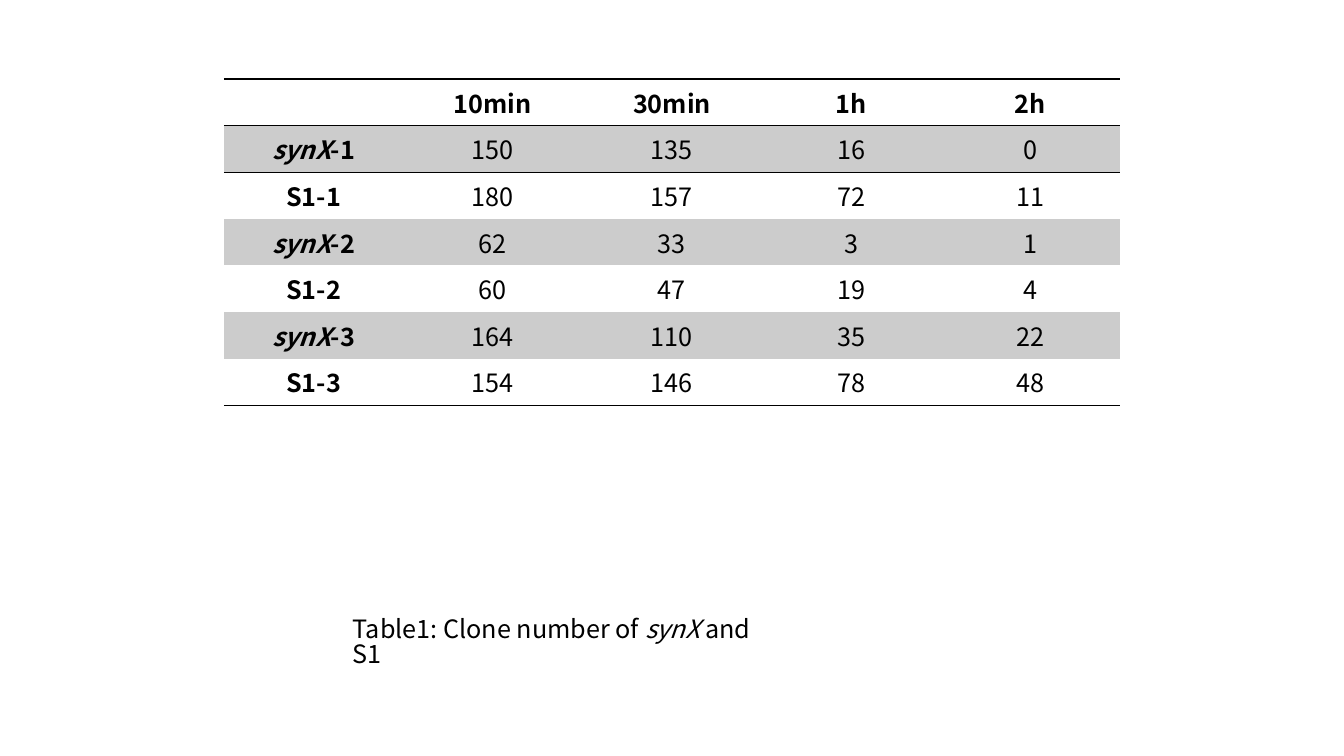
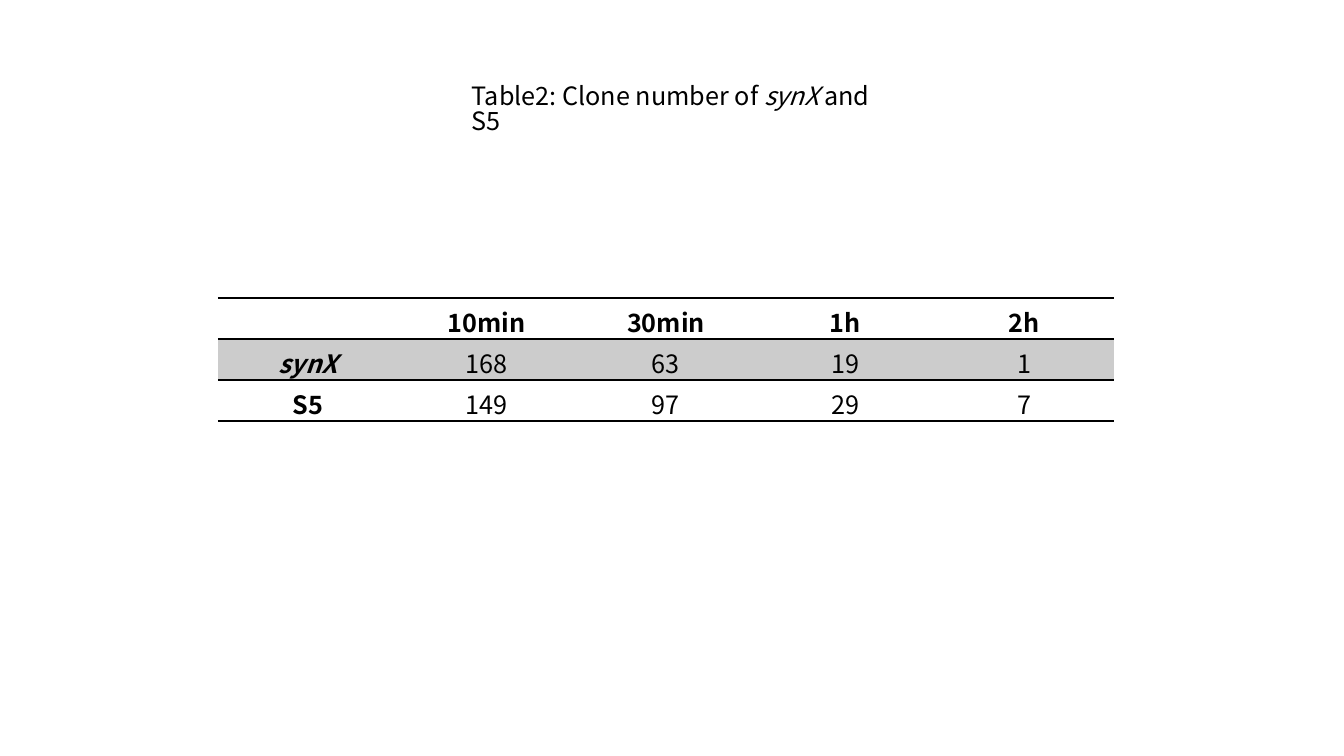
from pptx import Presentation
from pptx.dml.color import RGBColor
from pptx.enum.text import MSO_ANCHOR, MSO_AUTO_SIZE, PP_ALIGN
from pptx.oxml import parse_xml
from pptx.oxml.ns import nsdecls, qn
from pptx.util import Pt

PX = 9144000 / 1008  # EMU per pixel
BLACK = RGBColor(0x00, 0x00, 0x00)
BAND = RGBColor(0xCC, 0xCC, 0xCC)
FONT = "Noto Sans CJK SC"
GENE = "synX"
CENTER = PP_ALIGN.CENTER
TOP = MSO_ANCHOR.TOP
GROW = MSO_AUTO_SIZE.SHAPE_TO_FIT_TEXT
NO_STYLE = "{2D5ABB26-0587-4C30-8999-92F81FD0307C}"
ROW_H = 41
TABLE_W = 896
CAPTION_W, CAPTION_H = 450, 40
HEADER = ["", "10min", "30min", "1h", "2h"]

# Per slide: table position, data rows, caption position, caption
SLIDES = [
    ((224, 79),
     [["synX-1", 150, 135, 16, 0],
      ["S1-1", 180, 157, 72, 11],
      ["synX-2", 62, 33, 3, 1],
      ["S1-2", 60, 47, 19, 4],
      ["synX-3", 164, 110, 35, 22],
      ["S1-3", 154, 146, 78, 48]],
     (343, 614), "Table1: Clone number of synX and S1"),
    ((218, 298),
     [["synX", 168, 63, 19, 1],
      ["S5", 149, 97, 29, 7]],
     (462, 81), "Table2: Clone number of synX and S5"),
]


def add_text(p, text, bold=False):
    """Write the text with the gene name in italics."""
    before, gene, after = text.rpartition(GENE)
    for part in (before, gene, after):
        if part:
            r = p.add_run()
            r.text = part
            r.font.name = FONT
            r.font.size = Pt(18)
            r.font.color.rgb = BLACK
            r.font.bold = bold
            r.font.italic = part == GENE


def add_border(cell, side):
    cell._tc.get_or_add_tcPr().append(parse_xml(
        f'<a:{side} {nsdecls("a")} w="12700"><a:solidFill>'
        f'<a:srgbClr val="{BLACK}"/></a:solidFill></a:{side}>'))


prs = Presentation()
prs.slide_width = round(1344 * PX)
prs.slide_height = round(756 * PX)

for (left, top), data, (cap_left, cap_top), caption in SLIDES:
    s = prs.slides.add_slide(prs.slide_layouts[6])

    # Table
    rows = [HEADER] + data
    frame = s.shapes.add_table(len(rows), len(HEADER), round(left * PX), round(top * PX),
                               round(TABLE_W * PX), round(len(rows) * ROW_H * PX))
    frame._element.find(".//" + qn("a:tableStyleId")).text = NO_STYLE
    for i, row in enumerate(rows):
        for j, value in enumerate(row):
            cell = frame.table.cell(i, j)
            p = cell.text_frame.paragraphs[0]
            p.alignment = CENTER
            add_text(p, str(value), bold=i == 0 or j == 0)
            # Rules around the header and under the last row
            if i in (0, 1):
                add_border(cell, "lnT")
            if i in (0, len(rows) - 1):
                add_border(cell, "lnB")
            # Every other data row is shaded
            if i % 2:
                cell.fill.solid()
                cell.fill.fore_color.rgb = BAND
            else:
                cell.fill.background()

    # Caption
    box = s.shapes.add_textbox(round(cap_left * PX), round(cap_top * PX),
                               round(CAPTION_W * PX), round(CAPTION_H * PX))
    tf = box.text_frame
    tf.word_wrap = True
    tf.auto_size = GROW
    tf.vertical_anchor = TOP
    p = tf.paragraphs[0]
    p.line_spacing = 0.82
    add_text(p, caption)

prs.save("out.pptx")
